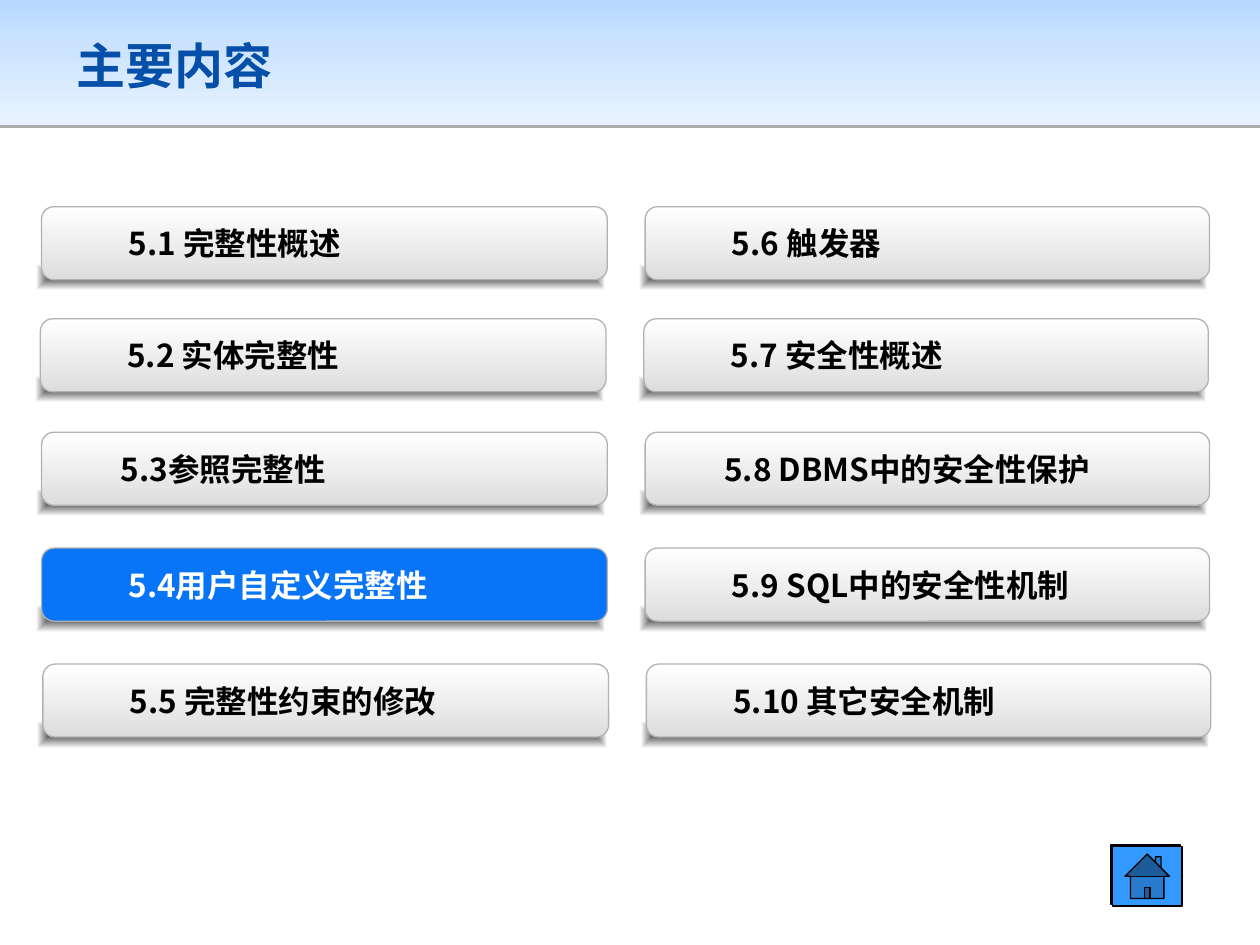
"""Builds the contents slide of a chapter on database integrity and security."""
from lxml import etree
from pptx import Presentation
from pptx import util as u
from pptx.dml.color import RGBColor
from pptx.enum import shapes, text
from pptx.oxml.ns import qn

COLORS = {
    "title": "054FA9", "black": "000000", "white": "FFFFFF",
    "button_end": "DDDDDD", "border": "B2B2B2", "current": "0875F8",
    "header_top": "B7D9FF", "header_mid": "CBE3FF", "header_end": "E8F3FF",
    "home": "3399FF",
}
CJK_FONT = "Noto Sans CJK SC"
CURRENT_SECTION = "5.4用户自定义完整性"
COLUMNS = [
    (0.33, 4.49, ["5.1 完整性概述", "5.2 实体完整性", "5.3参照完整性",
                  CURRENT_SECTION, "5.5 完整性约束的修改"]),
    (5.12, 4.48, ["5.6 触发器", "5.7 安全性概述", "5.8 DBMS中的安全性保护",
                  "5.9 SQL中的安全性机制", "5.10 其它安全机制"]),
]
ROWS = [(1.64, 0), (2.53, -0.01), (3.43, 0), (4.35, 0), (5.27, 0.01)]
NARROW_INSET = ("5.3参照完整性", "5.8 DBMS中的安全性保护")


def rgb(name):
    """Return a named colour."""
    return RGBColor.from_string(COLORS[name])


def add_node(parent, tag, **attributes):
    """Append a drawing element with its attributes."""
    values = {key: str(value) for key, value in attributes.items()}
    return etree.SubElement(parent, qn(tag), values)


def add_color(parent, name, opacity=100):
    """Append a named colour with an opacity in percent."""
    color = add_node(parent, "a:srgbClr", val=COLORS[name])
    if opacity < 100:
        add_node(color, "a:alpha", val=opacity * 1000)


def add_form(slide, kind, left, top, width, height):
    """Add a preset shape without line and shadow."""
    form = slide.shapes.add_shape(
        kind, u.Inches(left), u.Inches(top), u.Inches(width), u.Inches(height))
    form.shadow.inherit = False
    form.line.fill.background()
    return form


def fill_solid(form, name):
    """Fill a shape with one colour."""
    form.fill.solid()
    form.fill.fore_color.rgb = rgb(name)


def fill_gradient(form, stops, radial=False):
    """Fill a shape with stops of position, colour and opacity."""
    form.fill.gradient()
    gradient = form._element.spPr.find(qn("a:gradFill"))
    for child in list(gradient):
        gradient.remove(child)
    stop_list = add_node(gradient, "a:gsLst")
    for position, name, opacity in stops:
        add_color(add_node(stop_list, "a:gs", pos=position * 1000), name, opacity)
    if radial:
        center = add_node(gradient, "a:path", path="shape")
        add_node(center, "a:fillToRect", l=50000, t=50000, r=50000, b=50000)
    else:
        add_node(gradient, "a:lin", ang=90 * 60000, scaled=0)


def set_outline(form, name):
    """Give a shape a thin line."""
    form.line.color.rgb = rgb(name)
    form.line.width = u.Pt(0.75)


def cast_shadow(form, opacity, distance, angle):
    """Give a shape a hard black shadow."""
    effects = form._element.spPr.find(qn("a:effectLst"))
    shadow = add_node(effects, "a:outerShdw", blurRad=0, dist=u.Pt(distance),
                      dir=angle * 60000, algn="ctr", rotWithShape=0)
    add_color(shadow, "black", opacity)


def add_label(slide, wording, left, top, width, height, size, color, font):
    """Add a bold, vertically centred text box and return it."""
    label = slide.shapes.add_textbox(
        u.Inches(left), u.Inches(top), u.Inches(width), u.Inches(height))
    frame = label.text_frame
    frame.text = wording
    frame.word_wrap = True
    frame.vertical_anchor = text.MSO_ANCHOR.MIDDLE
    run_font = frame.paragraphs[0].runs[0].font
    run_font.size = u.Pt(size)
    run_font.bold = True
    run_font.name = font
    run_font.color.rgb = rgb(color)
    add_node(run_font._element, "a:ea", typeface=CJK_FONT)
    return label


def add_header(slide):
    """Add the header band and the title."""
    band = add_form(slide, shapes.MSO_SHAPE.RECTANGLE, 0, 0, 10, 0.99)
    fill_gradient(band, [(0, "header_top", 100), (35, "header_mid", 100),
                         (100, "header_end", 100)])
    cast_shadow(band, 33, 1.6, 90)
    add_label(slide, "主要内容", 0.51, 0.16, 8.98, 0.71, 28, "title", "Arial")


def add_section(slide, wording, left, top, width):
    """Add a section button with its soft shade and its label."""
    shade = add_form(slide, shapes.MSO_SHAPE.RECTANGLE,
                     left - 0.04, top + 0.46, width + 0.02, 0.2)
    fill_gradient(shade, [(0, "black", 70), (100, "black", 0)], radial=True)
    button = add_form(slide, shapes.MSO_SHAPE.ROUNDED_RECTANGLE,
                      left, top, width, 0.58)
    button.adjustments[0] = 0.17
    set_outline(button, "border")
    is_current = wording == CURRENT_SECTION
    if is_current:
        fill_solid(button, "current")
    else:
        fill_gradient(button, [(0, "white", 100), (100, "button_end", 100)])
    label = add_label(slide, wording, left + 0.03, top, width - 0.48, 0.58, 18,
                      "white" if is_current else "black", CJK_FONT)
    inset = 0.1 if wording in NARROW_INSET else 0.16
    label.text_frame.margin_left = u.Inches(inset)
    paragraph = label.text_frame.paragraphs[0]
    paragraph.level = 1
    properties = paragraph._p.get_or_add_pPr()
    properties.set("marL", str(u.Inches(0.5)))
    properties.set("indent", "0")


def add_home_button(slide):
    """Add the home button."""
    home = add_form(slide, shapes.MSO_SHAPE.ACTION_BUTTON_HOME,
                    8.83, 6.72, 0.55, 0.47)
    fill_solid(home, "home")
    set_outline(home, "black")
    cast_shadow(home, 100, 1.4, 225)


def main():
    """Build and save the slide."""
    deck = Presentation()
    deck.slide_width, deck.slide_height = u.Inches(10), u.Inches(7.5)
    slide = deck.slides.add_slide(deck.slide_layouts[6])
    add_header(slide)
    for left, width, sections in COLUMNS:
        for wording, (top, shift) in zip(sections, ROWS):
            add_section(slide, wording, left + shift, top, width)
    add_home_button(slide)
    deck.save("out.pptx")


if __name__ == "__main__":
    main()
